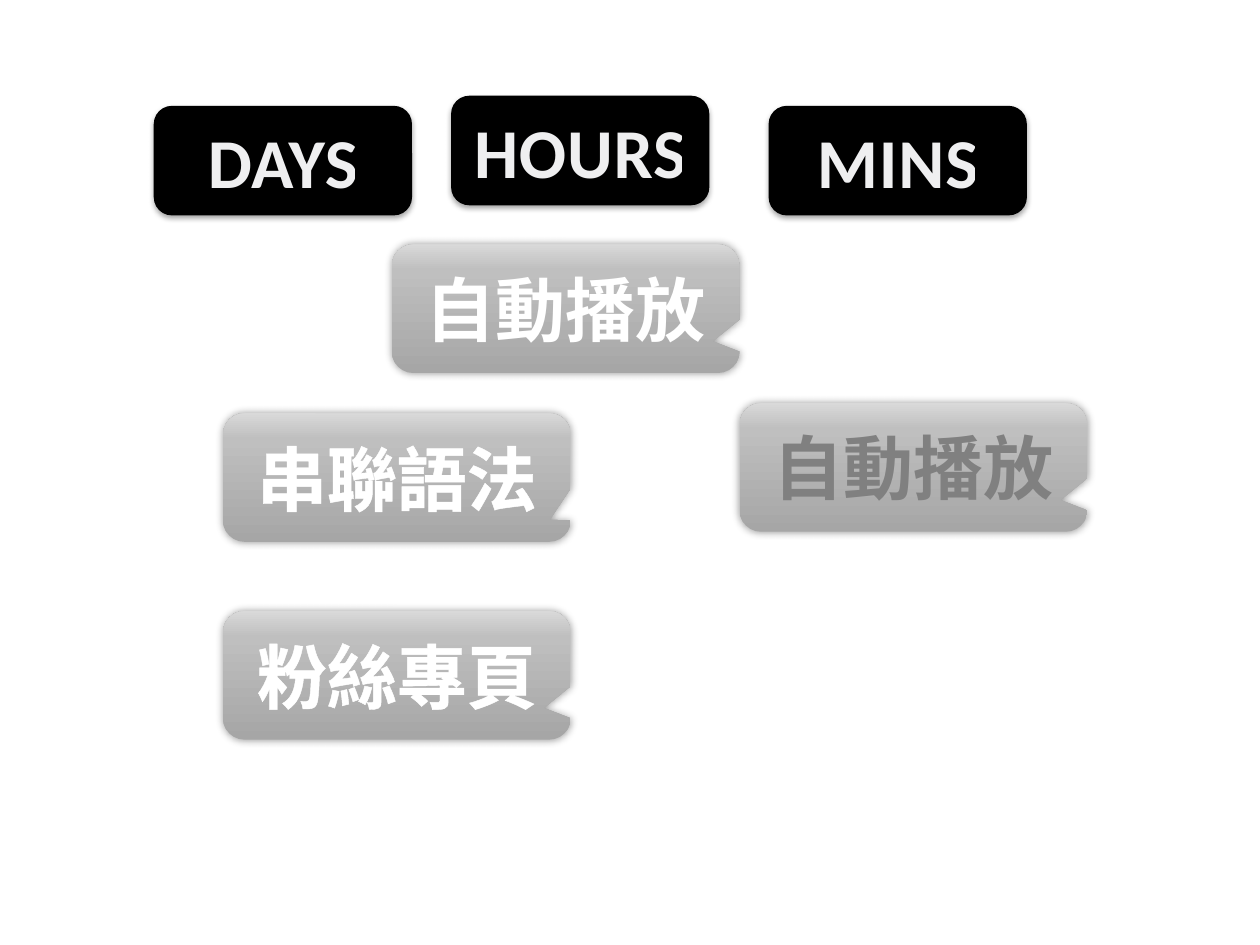
"""Build a slide of three time labels and four callout buttons."""
from lxml.etree import SubElement
from pptx import Presentation
from pptx.dml.color import RGBColor
from pptx.enum.shapes import MSO_SHAPE
from pptx.enum.text import MSO_ANCHOR, PP_ALIGN
from pptx.oxml import parse_xml
from pptx.oxml.ns import nsdecls, qn
from pptx.util import Inches, Pt

COLORS = {
    "black": "000000", "label": "FCFCFD", "edge": "101A26",
    "white": "FFFFFF", "muted": "808080",
    "low": "A6A6A6", "middle": "BFBFBF", "high": "D9D9D9",
}
LATIN, CHINESE = "Calibri", "Noto Sans CJK SC"
LABEL_SIZE, BUTTON_SIZE = (2.05, 0.87), (2.76, 1.02)
LABELS = [("DAYS", 1.22, 0.84), ("HOURS", 3.58, 0.76), ("MINS", 6.1, 0.84)]
TAIL, LOW_TAIL = (0.423, 0.254, 0.167), (0.44, 0.329, 0.167)
BUTTONS = [
    ("串聯語法", 1.77, 3.28, LOW_TAIL, True),
    ("粉絲專頁", 1.77, 4.85, TAIL, True),
    ("自動播放", 3.11, 1.94, TAIL, False),
]
MUTED_BUTTON = (5.87, 3.2)
MUTED_TEXT = ("自動播放", 6.04, 3.32, 2.5, 1.45)
STOPS = [(0, "low"), (80, "middle"), (100, "high")]


def add_shadow(shape, opacity, blur, distance, angle):
    shape._element.spPr.append(parse_xml(
        f'<a:effectLst {nsdecls("a")}><a:outerShdw blurRad="{Pt(blur)}" dist="{Pt(distance)}" '
        f'dir="{angle * 60000}" algn="ctr" rotWithShape="0"><a:srgbClr val="{COLORS["black"]}">'
        f'<a:alpha val="{opacity * 1000}"/></a:srgbClr></a:outerShdw></a:effectLst>'))


def add_text(shape, text, font, color, align=PP_ALIGN.CENTER):
    para = shape.text_frame.paragraphs[0]
    para.alignment = align
    span = para.add_run()
    span.text = text
    span.font.name, span.font.size, span.font.bold = font, Pt(40), True
    span.font.color.rgb = RGBColor.from_string(COLORS[color])
    properties = span._r.get_or_add_rPr()
    SubElement(properties, qn("a:ea"), typeface=font)
    return properties


def add_outline(properties, color, width, opacity=100):
    properties.insert(0, parse_xml(
        f'<a:ln {nsdecls("a")} w="{Pt(width)}"><a:solidFill><a:srgbClr val="{COLORS[color]}">'
        f'<a:alpha val="{opacity * 1000}"/></a:srgbClr></a:solidFill>'
        f'<a:prstDash val="solid"/></a:ln>'))


def add_box(shapes, kind, left, top, size):
    box = shapes.add_shape(kind, *map(Inches, (left, top, *size)))
    box.line.fill.background()
    box.text_frame.vertical_anchor = MSO_ANCHOR.MIDDLE
    return box


def add_label(shapes, text, left, top):
    box = add_box(shapes, MSO_SHAPE.ROUNDED_RECTANGLE, left, top, LABEL_SIZE)
    box.fill.solid()
    box.fill.fore_color.rgb = RGBColor.from_string(COLORS["black"])
    add_shadow(box, 35, 3.1, 1.8, 90)
    properties = add_text(box, text, LATIN, "label")
    properties.set("spc", "50")
    SubElement(properties.find(".//" + qn("a:srgbClr")), qn("a:alpha"), val="95000")
    add_outline(properties, "edge", 1.06, 6)


def add_button(shapes, left, top, tail):
    box = add_box(shapes, MSO_SHAPE.ROUNDED_RECTANGULAR_CALLOUT, left, top, BUTTON_SIZE)
    for index, value in enumerate(tail):
        box.adjustments[index] = value
    stops = "".join(f'<a:gs pos="{place * 1000}"><a:srgbClr val="{COLORS[name]}"/></a:gs>'
                    for place, name in STOPS)
    box._element.spPr.find(qn("a:prstGeom")).addnext(parse_xml(
        f'<a:gradFill {nsdecls("a")} rotWithShape="1"><a:gsLst>{stops}</a:gsLst>'
        f'<a:lin ang="{270 * 60000}" scaled="0"/></a:gradFill>'))
    add_shadow(box, 40, 5, 0, 0)
    return box


def main():
    deck = Presentation()
    deck.slide_width, deck.slide_height = Inches(10), Inches(7.5)
    page = deck.slides.add_slide(deck.slide_layouts[6])
    for label in LABELS:
        add_label(page.shapes, *label)
    for text, left, top, tail, outlined in BUTTONS:
        box = add_button(page.shapes, left, top, tail)
        properties = add_text(box, text, CHINESE, "white")
        if outlined:
            add_outline(properties, "white", 1.45)
    group = page.shapes.add_group_shape()
    add_button(group.shapes, *MUTED_BUTTON, TAIL)
    text, *place = MUTED_TEXT
    caption = group.shapes.add_textbox(*map(Inches, place))
    caption.text_frame.word_wrap = True
    add_text(caption, text, CHINESE, "muted", PP_ALIGN.LEFT)
    deck.save("out.pptx")


if __name__ == "__main__":
    main()
